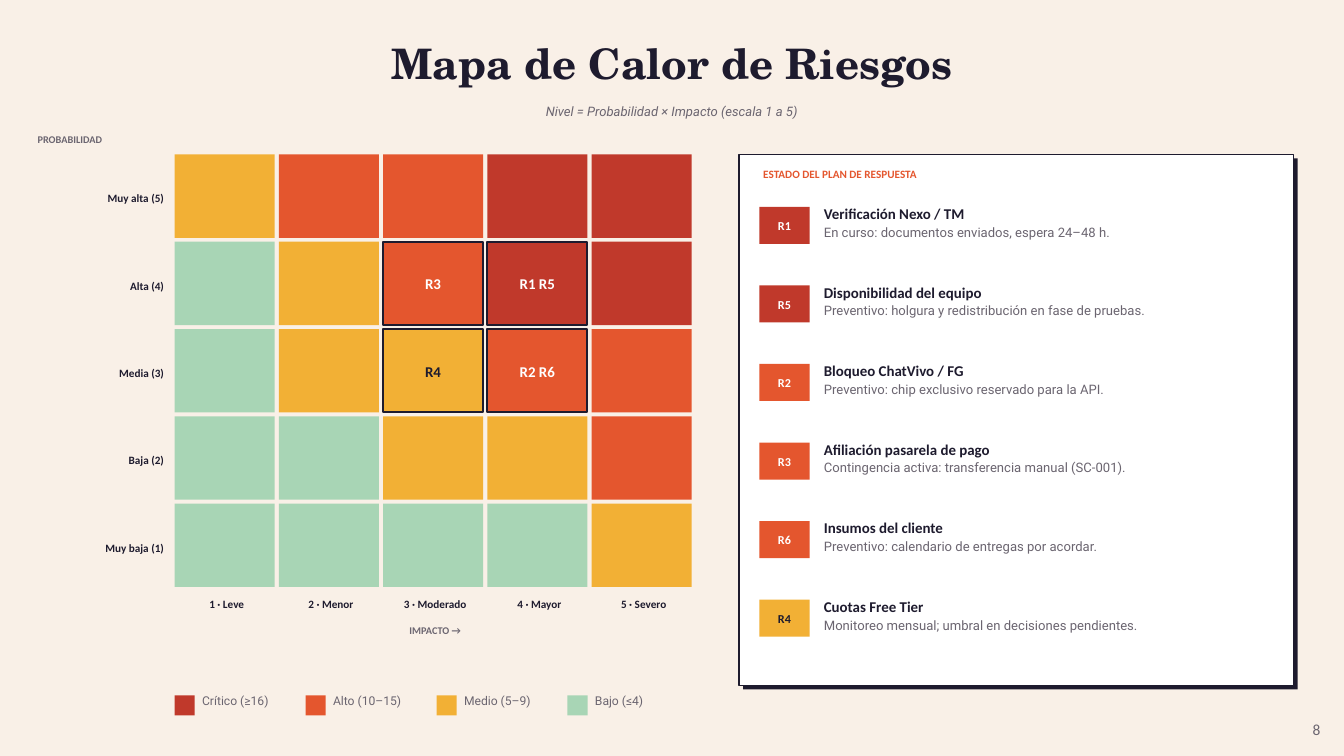
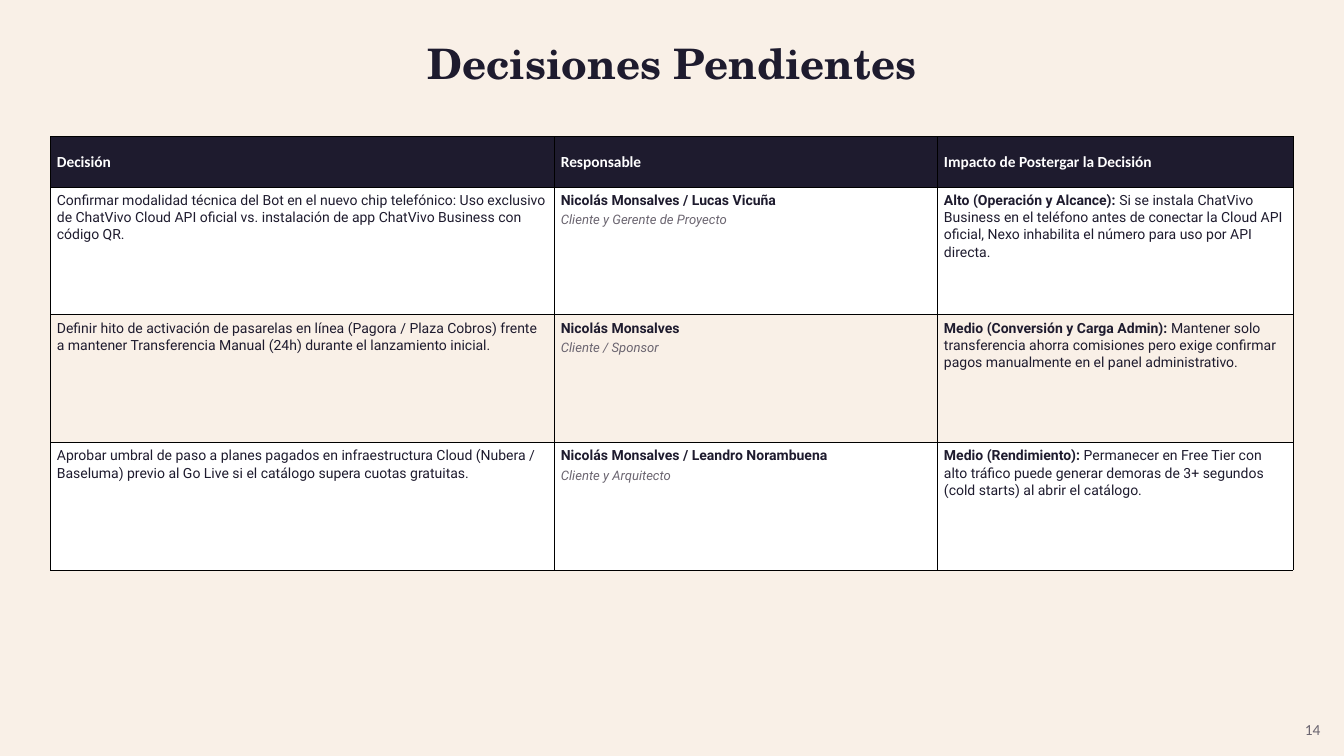
from lxml import etree
from pptx import Presentation
from pptx import util as u
from pptx.dml.color import RGBColor
from pptx.enum import shapes, text
from pptx.oxml import ns

Cm, Pt = u.Cm, u.Pt
LEFT, CENTER, RIGHT = text.PP_ALIGN.LEFT, text.PP_ALIGN.CENTER, text.PP_ALIGN.RIGHT
TOP, MIDDLE = text.MSO_ANCHOR.TOP, text.MSO_ANCHOR.MIDDLE

COLORS = {
    "cream": "F9F0E7", "ink": "1E1B2E", "gray": "6B6570", "white": "FFFFFF", "black": "000000",
    "critical": "C0392B", "high": "E4562E", "medium": "F2B035", "low": "A8D5B5",
}
SERIF, SANS, BODY = "TeX Gyre Schola", "Calibri", "Roboto"


def rgb(name):
    return RGBColor.from_string(COLORS[name])


def add_text(p, content, font=BODY, size=14, color="ink", bold=False, italic=False,
             align=LEFT, spacing=1.05, after=3):
    """Append a formatted run to paragraph p."""
    p.alignment, p.line_spacing, p.space_after = align, spacing, Pt(after)
    r = p.add_run()
    r.text = content
    r.font.name, r.font.size = font, Pt(size)
    r.font.bold, r.font.italic = bold, italic
    r.font.color.rgb = rgb(color)


class Deck:
    def __init__(self):
        self.prs = Presentation()
        self.prs.slide_width, self.prs.slide_height = Cm(50.8), Cm(28.58)
        self.s = None

    def slide(self, title, number):
        self.s = self.prs.slides.add_slide(self.prs.slide_layouts[6])
        self.s.background.fill.solid()
        self.s.background.fill.fore_color.rgb = rgb("cream")
        self.label(title, 2.11, 1.32, 46.58, 2.92, inset=(0, 0),
                   font=SERIF, size=45, bold=True, align=CENTER)
        self.label(str(number), 48.06, 27.15, 1.85, 0.99, inset=(0, 0), font=SANS,
                   size=16.5, color="gray", align=RIGHT, spacing=Pt(21.4), after=0)

    def frame(self, tf, anchor, inset=(0.15, 0.08)):
        tf.word_wrap = True
        tf.vertical_anchor = anchor
        tf.margin_left = tf.margin_right = Cm(inset[0])
        tf.margin_top = tf.margin_bottom = Cm(inset[1])

    def label(self, content, x, y, w, h, anchor=TOP, inset=(0.15, 0.08), **fmt):
        tf = self.s.shapes.add_textbox(Cm(x), Cm(y), Cm(w), Cm(h)).text_frame
        self.frame(tf, anchor, inset)
        tf.auto_size = text.MSO_AUTO_SIZE.SHAPE_TO_FIT_TEXT
        add_text(tf.paragraphs[0], content, **fmt)
        return tf

    def rect(self, x, y, w, h, fill, content="", line=0, **fmt):
        sp = self.s.shapes.add_shape(shapes.MSO_SHAPE.RECTANGLE, Cm(x), Cm(y), Cm(w), Cm(h))
        sp.shadow.inherit = False
        sp.fill.solid()
        sp.fill.fore_color.rgb = rgb(fill)
        if line:
            sp.line.color.rgb = rgb("ink")
            sp.line.width = Pt(line)
        else:
            sp.line.fill.background()
        if content:
            self.frame(sp.text_frame, MIDDLE)
            add_text(sp.text_frame.paragraphs[0], content, align=CENTER, **fmt)

    def table(self, x, y, widths, heights):
        shape = self.s.shapes.add_table(len(heights), len(widths), Cm(x), Cm(y),
                                        Cm(sum(widths)), Cm(sum(heights)))
        tbl = shape.table
        tbl.first_row = tbl.horz_banding = False
        for col, w in zip(tbl.columns, widths):
            col.width = Cm(w)
        for row, h in zip(tbl.rows, heights):
            row.height = Cm(h)
        return tbl

    def cell(self, cell, fill, paragraphs, anchor=TOP):
        """Each paragraph is a list of (text, format) runs."""
        tcPr = cell._tc.get_or_add_tcPr()
        for side in ("lnL", "lnR", "lnT", "lnB"):
            ln = etree.SubElement(tcPr, ns.qn(f"a:{side}"), w=str(Pt(0.37)))
            solid = etree.SubElement(ln, ns.qn("a:solidFill"))
            etree.SubElement(solid, ns.qn("a:srgbClr"), val=COLORS["black"])
        cell.fill.solid()
        cell.fill.fore_color.rgb = rgb(fill)
        cell.vertical_anchor = anchor
        cell.margin_left = cell.margin_right = Cm(0.25)
        cell.margin_top = cell.margin_bottom = Cm(0.18)
        tf = cell.text_frame
        for i, runs in enumerate(paragraphs):
            p = tf.add_paragraph() if i else tf.paragraphs[0]
            for content, fmt in runs:
                add_text(p, content, **fmt)


def risk_level(probability, impact):
    score = probability * impact
    if score >= 16:
        return "critical"
    if score >= 10:
        return "high"
    return "medium" if score >= 5 else "low"


def text_on(level):
    return "ink" if level == "medium" else "white"


PROBABILITIES = ["Muy baja (1)", "Baja (2)", "Media (3)", "Alta (4)", "Muy alta (5)"]
IMPACTS = ["1 · Leve", "2 · Menor", "3 · Moderado", "4 · Mayor", "5 · Severo"]
LEGEND = [("critical", "Crítico (≥16)"), ("high", "Alto (10–15)"),
          ("medium", "Medio (5–9)"), ("low", "Bajo (≤4)")]

# Code, probability, impact, name, response
RISKS = [
    ("R1", 4, 4, "Verificación Nexo / TM", "En curso: documentos enviados, espera 24–48 h."),
    ("R5", 4, 4, "Disponibilidad del equipo",
     "Preventivo: holgura y redistribución en fase de pruebas."),
    ("R2", 3, 4, "Bloqueo ChatVivo / FG", "Preventivo: chip exclusivo reservado para la API."),
    ("R3", 4, 3, "Afiliación pasarela de pago",
     "Contingencia activa: transferencia manual (SC-001)."),
    ("R6", 3, 4, "Insumos del cliente", "Preventivo: calendario de entregas por acordar."),
    ("R4", 3, 3, "Cuotas Free Tier", "Monitoreo mensual; umbral en decisiones pendientes."),
]

HEADERS = ["Decisión", "Responsable", "Impacto de Postergar la Decisión"]
# Decision, owner, role, impact level, impact detail
DECISIONS = [
    ("Confirmar modalidad técnica del Bot en el nuevo chip telefónico: Uso exclusivo de "
     "ChatVivo Cloud API oficial vs. instalación de app ChatVivo Business con código QR.",
     "Nicolás Monsalves / Lucas Vicuña", "Cliente y Gerente de Proyecto",
     "Alto (Operación y Alcance): ",
     "Si se instala ChatVivo Business en el teléfono antes de conectar la Cloud API "
     "oficial, Nexo inhabilita el número para uso por API directa."),
    ("Definir hito de activación de pasarelas en línea (Pagora / Plaza Cobros) frente a "
     "mantener Transferencia Manual (24h) durante el lanzamiento inicial.",
     "Nicolás Monsalves", "Cliente / Sponsor",
     "Medio (Conversión y Carga Admin): ",
     "Mantener solo transferencia ahorra comisiones pero exige confirmar pagos "
     "manualmente en el panel administrativo."),
    ("Aprobar umbral de paso a planes pagados en infraestructura Cloud (Nubera / "
     "Baseluma) previo al Go Live si el catálogo supera cuotas gratuitas.",
     "Nicolás Monsalves / Leandro Norambuena", "Cliente y Arquitecto",
     "Medio (Rendimiento): ",
     "Permanecer en Free Tier con alto tráfico puede generar demoras de 3+ segundos "
     "(cold starts) al abrir el catálogo."),
]


def heat_map(deck):
    deck.slide("Mapa de Calor de Riesgos", 8)
    deck.label("Nivel = Probabilidad × Impacto (escala 1 a 5)", 1.9, 3.81, 46.99, 1.14,
               color="gray", italic=True, align=CENTER)

    # Grid: one row per probability, highest first
    x0, y0, dx, dy = 6.6, 5.84, 3.94, 3.3
    axis = dict(font=SANS, size=12, bold=True)
    for row, name in enumerate(reversed(PROBABILITIES)):
        y, probability = y0 + row * dy, 5 - row
        deck.label(name, 1.27, y, 5.08, dy, anchor=MIDDLE, align=RIGHT, **axis)
        for col in range(5):
            level = risk_level(probability, col + 1)
            codes = " ".join(r[0] for r in RISKS if r[1:3] == (probability, col + 1))
            deck.rect(x0 + col * dx, y, 3.78, 3.15, level, codes, line=2.5 if codes else 0,
                      font=SANS, size=16, bold=True, color=text_on(level))

    # Axis labels
    for col, name in enumerate(IMPACTS):
        deck.label(name, x0 + col * dx, 22.48, dx, 1.02, align=CENTER, **axis)
    caption = dict(font=SANS, size=11, bold=True, color="gray")
    deck.label("PROBABILIDAD", 1.27, 4.95, 6.35, 0.89, **caption)
    deck.label("IMPACTO →", x0, 23.5, 5 * dx, 0.89, align=CENTER, **caption)

    # Legend
    for i, (level, name) in enumerate(LEGEND):
        x = x0 + i * 4.95
        deck.rect(x, 26.29, 0.76, 0.76, level)
        deck.label(name, x + 0.89, 26.11, 4.06, 1.14, size=13, color="gray")

    # Response plan card with its hard shadow
    deck.rect(28.09, 5.99, 20.96, 20.07, "ink")
    deck.rect(27.94, 5.84, 20.96, 20.07, "white", line=1.5)
    deck.label("ESTADO DEL PLAN DE RESPUESTA", 28.7, 6.22, 19.3, 1.02,
               font=SANS, size=12, color="high", bold=True)
    for i, (code, probability, impact, name, response) in enumerate(RISKS):
        y = 7.62 + i * 2.97
        level = risk_level(probability, impact)
        deck.rect(28.7, y + 0.2, 1.9, 1.4, level, code,
                  font=SANS, size=13, bold=True, color=text_on(level))
        tf = deck.label(name, 30.99, y, 17.4, 2.79, font=SANS, size=16, bold=True, after=1)
        add_text(tf.add_paragraph(), response, color="gray")


def decisions(deck):
    deck.slide("Decisiones Pendientes", 14)
    tbl = deck.table(1.9, 5.16, [19.05, 14.48, 13.44], [1.9] + [4.83] * len(DECISIONS))

    # Header row
    for col, name in enumerate(HEADERS):
        header = dict(font=SANS, size=16.5, color="white", bold=True)
        deck.cell(tbl.cell(0, col), "ink", [[(name, header)]], anchor=MIDDLE)

    # Body rows, alternately white and cream
    plain, strong = dict(size=15), dict(size=15, bold=True)
    muted = dict(color="gray", italic=True)
    for row, (decision, owner, role, level, detail) in enumerate(DECISIONS, 1):
        cells = [
            [[(decision, plain)]],
            [[(owner, strong)], [(role, muted)]],
            [[(level, strong), (detail, plain)]],
        ]
        for col, paragraphs in enumerate(cells):
            deck.cell(tbl.cell(row, col), "white" if row % 2 else "cream", paragraphs)


def main():
    deck = Deck()
    heat_map(deck)
    decisions(deck)
    deck.prs.save("out.pptx")


if __name__ == "__main__":
    main()
